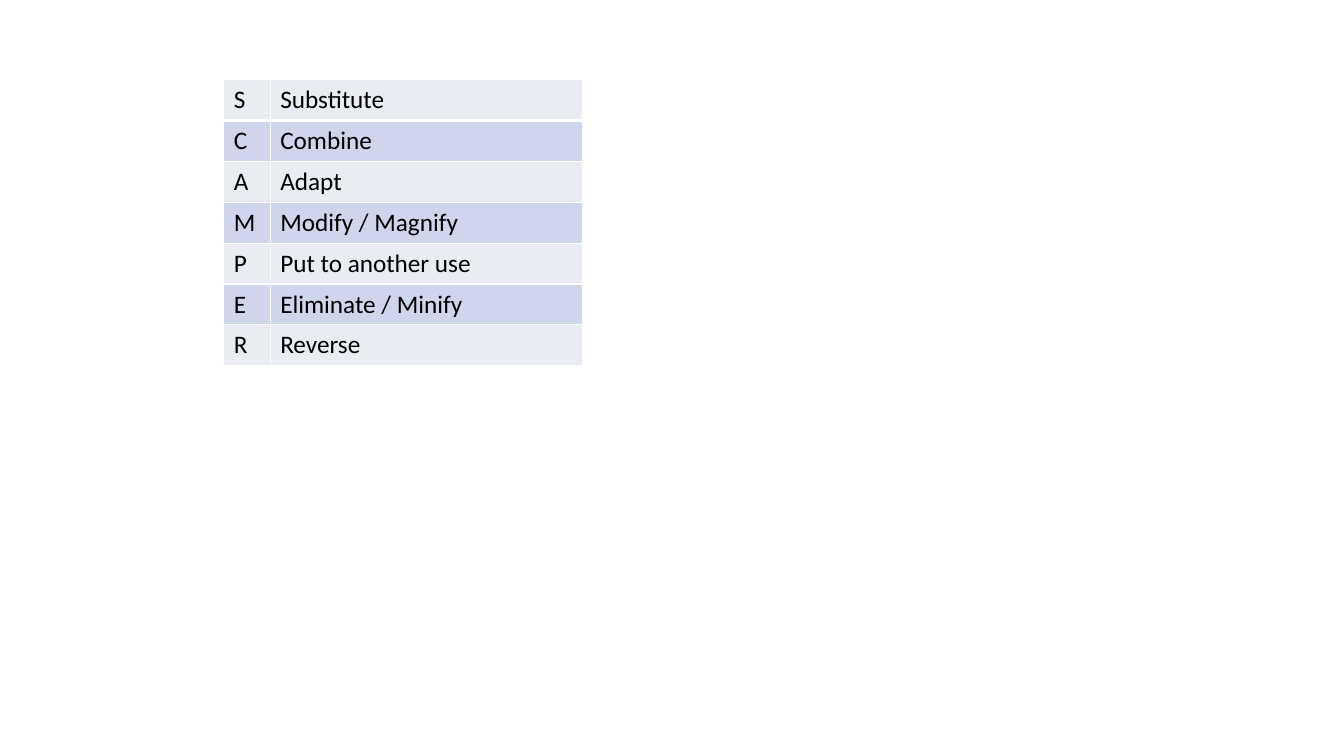
from lxml.etree import SubElement
from pptx import Presentation
from pptx.dml.color import RGBColor
from pptx.oxml.ns import qn
from pptx.util import Inches, Pt

# Content
SCAMPER = ["Substitute", "Combine", "Adapt", "Modify / Magnify",
           "Put to another use", "Eliminate / Minify", "Reverse"]
COLORS = {"light": "E9EBF5", "dark": "CFD5EA", "border": "FFFFFF", "text": "000000"}
FONT, TEXT_SIZE = "Calibri", 18

# Layout in inches
LEFT, TOP = 2.22, 0.79
COLUMN_WIDTHS = [0.46, 3.1]
TABLE_HEIGHT = 2.84
THIN, THICK = 1, 3


def add_border(cell, side, points):
    line = SubElement(cell._tc.get_or_add_tcPr(), qn(f"a:ln{side}"), w=str(Pt(points)))
    fill = SubElement(line, qn("a:solidFill"))
    SubElement(fill, qn("a:srgbClr"), val=COLORS["border"])


def fill_cell(cell, text, row):
    # The first row is set off by a thicker rule below it
    widths = {"L": THIN, "R": THIN,
              "T": THICK if row == 1 else THIN,
              "B": THICK if row == 0 else THIN}
    for side, points in widths.items():
        add_border(cell, side, points)
    cell.fill.solid()
    cell.fill.fore_color.rgb = RGBColor.from_string(COLORS["dark" if row % 2 else "light"])
    span = cell.text_frame.paragraphs[0].add_run()
    span.text = text
    span.font.name = FONT
    span.font.size = Pt(TEXT_SIZE)
    span.font.bold = False
    span.font.color.rgb = RGBColor.from_string(COLORS["text"])


# Page
deck = Presentation()
deck.slide_width, deck.slide_height = Inches(13.33), Inches(7.5)
page = deck.slides.add_slide(deck.slide_layouts[6])

# Table: each initial beside its technique
table = page.shapes.add_table(
    len(SCAMPER), len(COLUMN_WIDTHS), Inches(LEFT), Inches(TOP),
    Inches(sum(COLUMN_WIDTHS)), Inches(TABLE_HEIGHT)).table
table.first_row = table.horz_banding = False
for column, width in zip(table.columns, COLUMN_WIDTHS):
    column.width = Inches(width)
for row, technique in enumerate(SCAMPER):
    for column, text in enumerate((technique[0], technique)):
        fill_cell(table.cell(row, column), text, row)

deck.save("out.pptx")
